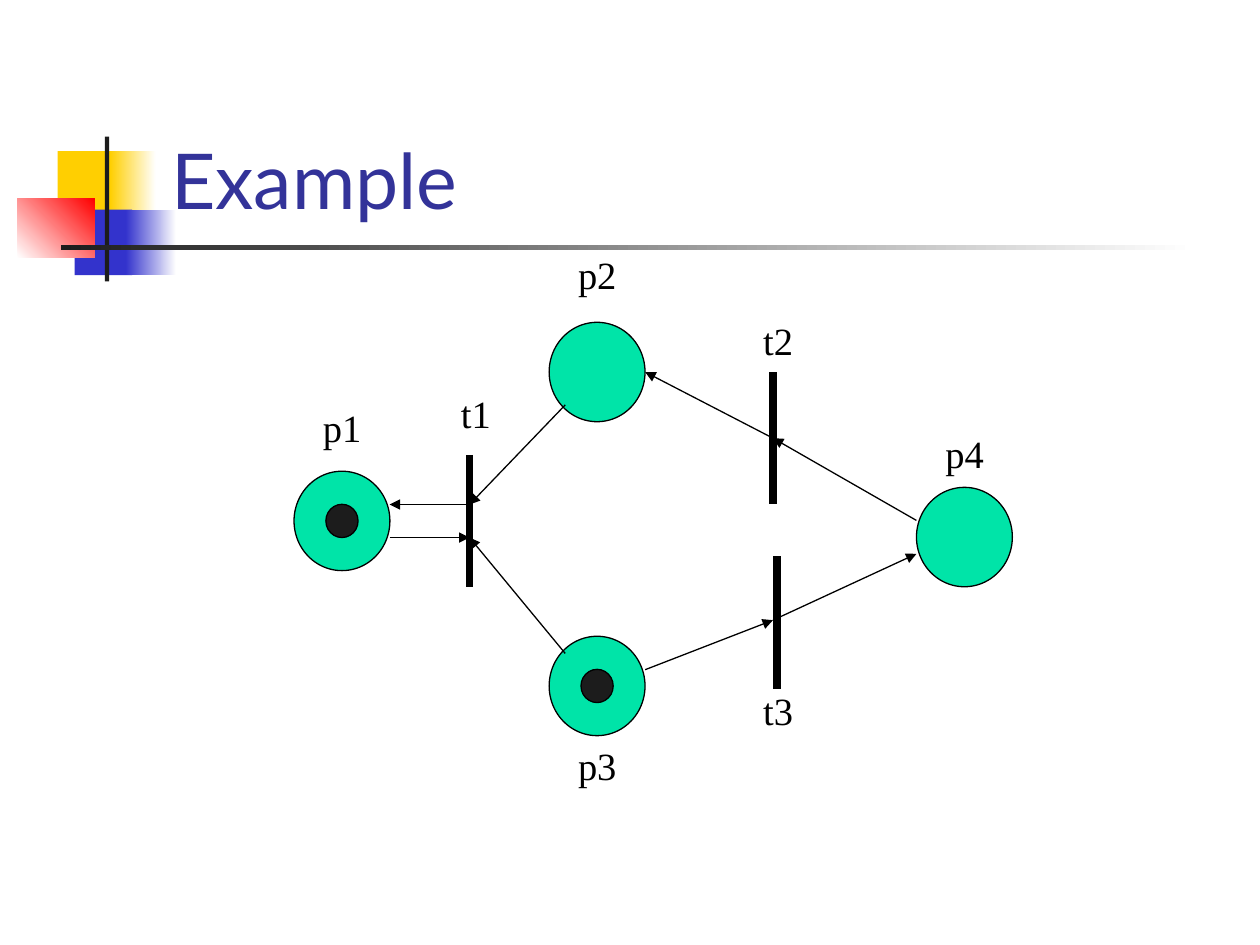
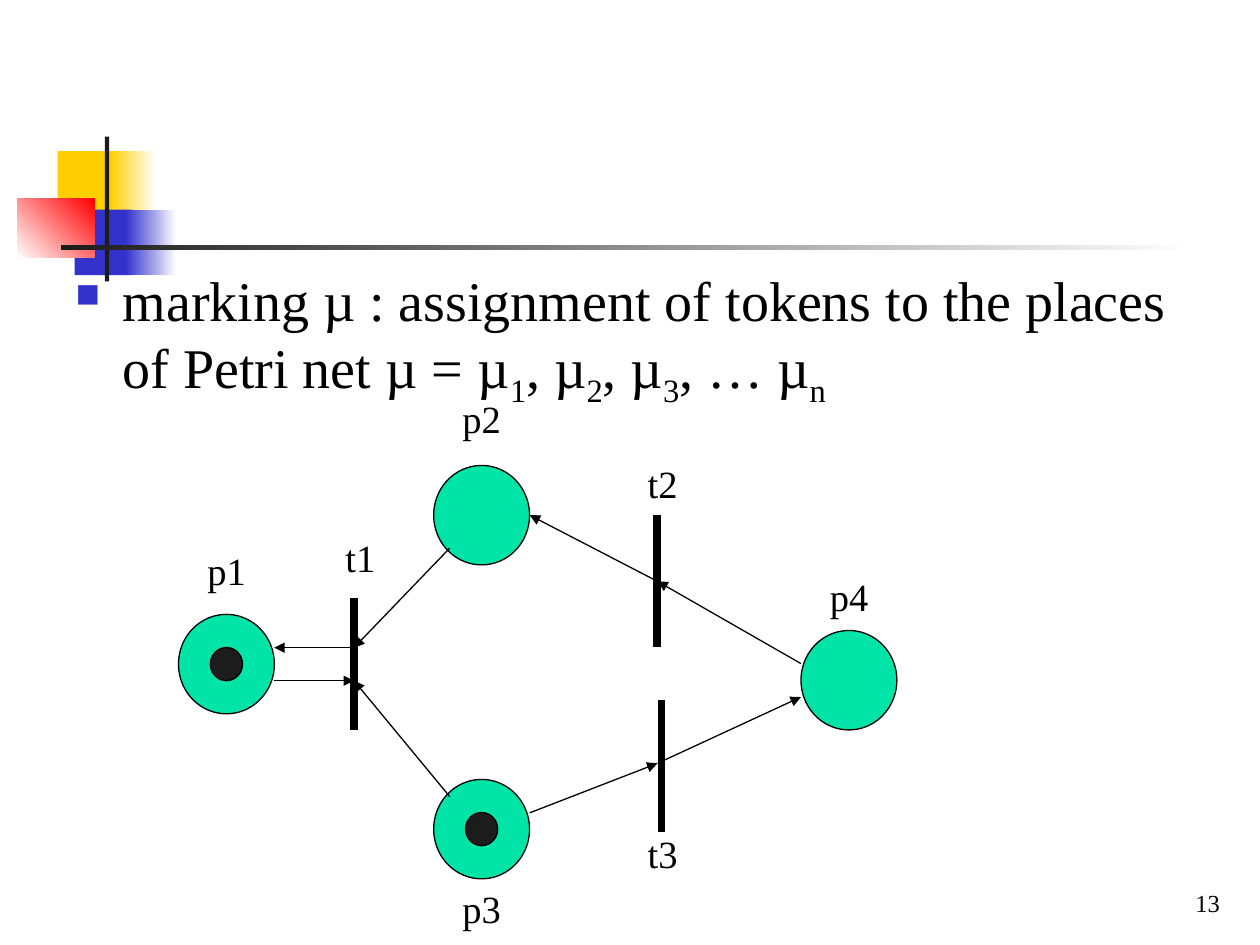
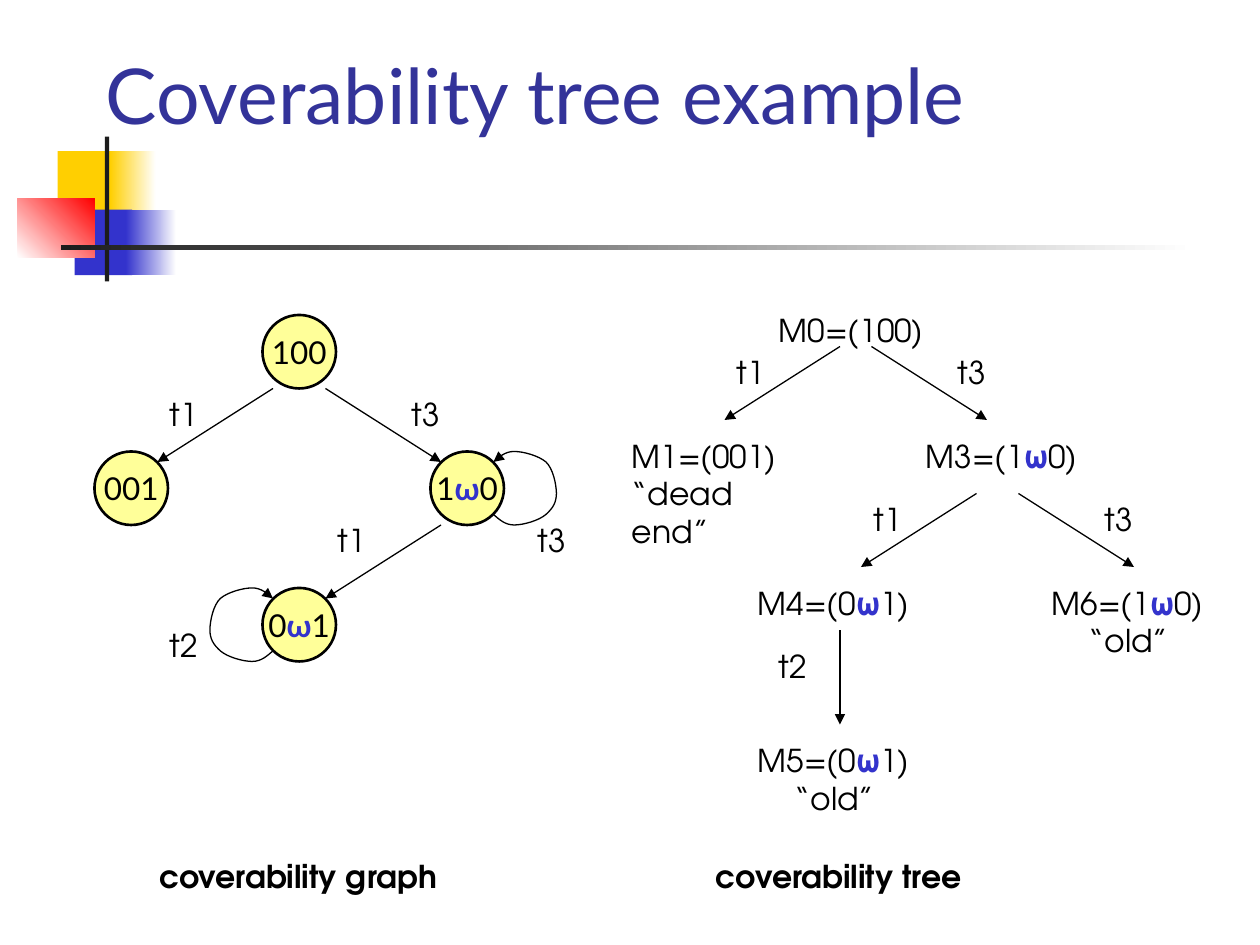
from dataclasses import dataclass
from typing import NamedTuple, Optional

from lxml import etree
from pptx import Presentation
from pptx.dml.color import RGBColor
from pptx.enum.shapes import MSO_CONNECTOR, MSO_SHAPE
from pptx.enum.text import MSO_ANCHOR, MSO_AUTO_SIZE, PP_ALIGN
from pptx.oxml.ns import qn
from pptx.util import Pt

RECTANGLE, OVAL = MSO_SHAPE.RECTANGLE, MSO_SHAPE.OVAL
STRAIGHT = MSO_CONNECTOR.STRAIGHT
TOP, MIDDLE, BOTTOM = MSO_ANCHOR.TOP, MSO_ANCHOR.MIDDLE, MSO_ANCHOR.BOTTOM
LEFT, CENTER, RIGHT = PP_ALIGN.LEFT, PP_ALIGN.CENTER, PP_ALIGN.RIGHT
FIT_SHAPE = MSO_AUTO_SIZE.SHAPE_TO_FIT_TEXT

BLACK, WHITE, INK = "000000", "FFFFFF", "1C1C1C"
YELLOW, BLUE, RED = "FFCF01", "3333CC", "FF0000"
TITLE_COLOR, PLACE_GREEN, STATE_YELLOW = "333399", "00E4A8", "FFFF99"
SERIF, SANS, GEOMETRIC = "Times New Roman", "Lato", "TeX Gyre Adventor"


class Box(NamedTuple):
    left: float
    top: float
    width: float
    height: float


class Style(NamedTuple):
    font: str
    size: float
    color: str = BLACK
    bold: bool = False


class Span(NamedTuple):
    text: str
    color: Optional[str] = None
    bold: bool = False
    subscript: bool = False


class Band(NamedTuple):
    box: Box
    start: str
    end: Optional[str] = None
    angle: float = 0


class Arrow(NamedTuple):
    x1: float
    y1: float
    x2: float
    y2: float


class Label(NamedTuple):
    text: str
    left: float
    top: float


@dataclass
class Place:
    name: str
    x: float
    y: float
    label_top: float
    token: bool = False


@dataclass
class Transition:
    name: str
    x: float
    top: float
    label_left: float
    label_top: float


TITLE_STYLE = Style(SANS, 44, TITLE_COLOR)
BODY_STYLE = Style(SERIF, 32)
NUMBER_STYLE = Style(SERIF, 14)
NET_STYLE = Style(SERIF, 22)
STATE_STYLE = Style(SANS, 18)
TREE_STYLE = Style(GEOMETRIC, 18)
CAPTION_STYLE = Style(GEOMETRIC, 18, bold=True)

# Corner blocks and rules behind every title
BANDS = [
    Band(Box(33, 86.4, 34.6, 37.4), YELLOW),
    Band(Box(63, 86.4, 26, 37.4), YELLOW, WHITE),
    Band(Box(42.6, 119.8, 33, 37.4), BLUE),
    Band(Box(72, 119.8, 28.8, 37.4), BLUE, WHITE),
    Band(Box(10, 113.7, 44.2, 33.6), WHITE, RED, 45),
    Band(Box(59.9, 78, 2.5, 82.8), INK),
    Band(Box(34.8, 140.2, 648, 2.5), INK, WHITE),
]

# Petri net
PLACE_WIDTH, PLACE_HEIGHT = 54.8, 56.8
TOKEN_WIDTH, TOKEN_HEIGHT = 18.4, 19
BAR_LENGTH = 75.6
PLACES = [
    Place("p1", 195.4, 297.7, 227.5, True),
    Place("p2", 341.2, 212.6, 140.2),
    Place("p3", 341.2, 392, 420.5, True),
    Place("p4", 551.1, 306.9, 242),
]
TRANSITIONS = [
    Transition("t1", 268.3, 260, 256.3, 219.6),
    Transition("t2", 441.7, 212.6, 429, 177.6),
    Transition("t3", 444, 318, 429, 388.8),
]
NET_ARROWS = [
    Arrow(268.3, 288.3, 222.7, 288.3),
    Arrow(222.7, 307.2, 268.3, 307.2),
    Arrow(323, 231.4, 268.3, 288.3),
    Arrow(323, 373.4, 268.3, 307.2),
    Arrow(368.7, 382.7, 441.7, 354.4),
    Arrow(441.7, 354.4, 523.7, 316.5),
    Arrow(523.7, 297.4, 441.7, 250.4),
    Arrow(441.7, 250.4, 368.7, 212.6),
]

# Coverability graph
STATE_SIZE = 42
STATES = [
    Label("100", 150, 180),
    Label("001", 54, 258),
    Label("1ω0", 246, 258),
    Label("0ω1", 150, 336),
]
GRAPH_ARROWS = [
    Arrow(156, 222, 90, 264),
    Arrow(186, 222, 252, 264),
    Arrow(252, 300, 186, 342),
]
GRAPH_LABELS = [
    Label("t1", 90, 222), Label("t3", 228, 222), Label("t1", 186, 294),
    Label("t3", 300, 294), Label("t2", 90, 354),
]
LOOP_START = (0, 36)
LOOP_CURVES = [
    ((3.6, 39), (6.5, 42), (12, 42)),
    ((17, 42), (26, 39.5), (30, 36)),
    ((34, 32.5), (36, 29), (36, 24)),
    ((36, 19), (34, 9.5), (30, 6)),
    ((26, 2.5), (17, 0), (12, 0)),
    ((6.5, 0), (3.6, 3), (0, 6)),
]
LOOP_STEPS = 8

# Coverability tree
TREE_ARROWS = [
    Arrow(480, 198, 414, 240),
    Arrow(498, 198, 564, 240),
    Arrow(558, 282, 492, 324),
    Arrow(582, 282, 648, 324),
    Arrow(480, 360, 480, 414),
]
TREE_LABELS = [
    Label("t1", 414, 198), Label("t3", 540, 198), Label("t1", 492, 282),
    Label("t3", 624, 282), Label("t2", 438, 366),
]
MARKINGS = [
    Label("M0=(100)", 438, 174),
    Label("M3=(1ω0)", 522, 246),
    Label("M4=(0ω1)", 426, 330),
]
OLD_MARKINGS = [Label("M6=(1ω0)", 594, 330), Label("M5=(0ω1)", 426, 420)]
OLD_INDENT = 21


def rgb(color: str) -> RGBColor:
    return RGBColor.from_string(color)


def place_at(box: Box) -> list:
    return [Pt(value) for value in box]


def highlight_omega(text: str) -> list:
    before, omega, after = text.partition("ω")
    spans = [Span(before), Span(omega, BLUE, True), Span(after)]
    return [span for span in spans if span.text]


def write_paragraph(paragraph, spans: list, style: Style, align=LEFT) -> None:
    paragraph.alignment = align
    for span in spans:
        run = paragraph.add_run()
        run.text = span.text
        run.font.name = style.font
        run.font.size = Pt(style.size)
        run.font.bold = style.bold or span.bold
        run.font.color.rgb = rgb(span.color or style.color)
        if span.subscript:
            run._r.get_or_add_rPr().set("baseline", "-25000")


def add_text(slide, box: Box, lines: list, style: Style, align=LEFT,
             anchor=TOP, wrap: bool = True):
    text_frame = slide.shapes.add_textbox(*place_at(box)).text_frame
    text_frame.word_wrap = wrap
    text_frame.vertical_anchor = anchor
    if not wrap:
        text_frame.auto_size = FIT_SHAPE
    for index, spans in enumerate(lines):
        paragraph = text_frame.add_paragraph() if index else text_frame.paragraphs[0]
        write_paragraph(paragraph, spans, style, align)
    return text_frame


def add_label(slide, box: Box, text: str, style: Style) -> None:
    add_text(slide, box, [highlight_omega(text)], style, wrap=False)


def add_figure(slide, kind, box: Box, fill: str, line_width: float = 0):
    shape = slide.shapes.add_shape(kind, *place_at(box))
    shape.shadow.inherit = False
    shape.fill.solid()
    shape.fill.fore_color.rgb = rgb(fill)
    if line_width:
        shape.line.color.rgb = rgb(BLACK)
        shape.line.width = Pt(line_width)
    else:
        shape.line.fill.background()
    return shape


def style_line(shape, width: float, arrow: bool) -> None:
    shape.line.color.rgb = rgb(BLACK)
    shape.line.width = Pt(width)
    properties = shape._element.spPr
    if arrow:
        etree.SubElement(properties.find(qn("a:ln")), qn("a:tailEnd"), type="triangle")
    if properties.find(qn("a:effectLst")) is None:
        etree.SubElement(properties, qn("a:effectLst"))


def add_line(slide, line: Arrow, width: float = 0.75, arrow: bool = True) -> None:
    connector = slide.shapes.add_connector(STRAIGHT, *[Pt(value) for value in line])
    style_line(connector, width, arrow)


def add_bands(slide) -> None:
    for band in BANDS:
        shape = add_figure(slide, RECTANGLE, band.box, band.start)
        if band.end:
            shape.fill.gradient()
            shape.fill.gradient_angle = band.angle
            for stop, color in zip(shape.fill.gradient_stops, (band.start, band.end)):
                stop.color.rgb = rgb(color)


def add_slide(presentation):
    slide = presentation.slides.add_slide(presentation.slide_layouts[6])
    add_bands(slide)
    return slide


def add_title(slide, box: Box, text: str) -> None:
    add_text(slide, box, [[Span(text)]], TITLE_STYLE, anchor=BOTTOM)


def centered(x: float, y: float, width: float, height: float) -> Box:
    return Box(x - width / 2, y - height / 2, width, height)


def add_petri_net(slide, dx: float = 0, dy: float = 0) -> None:
    for place in PLACES:
        x, y = place.x + dx, place.y + dy
        add_figure(slide, OVAL, centered(x, y, PLACE_WIDTH, PLACE_HEIGHT), PLACE_GREEN, 0.75)
        if place.token:
            add_figure(slide, OVAL, centered(x, y, TOKEN_WIDTH, TOKEN_HEIGHT), INK, 0.75)
        add_label(slide, Box(x - 18, place.label_top + dy, 36.7, 33.8), place.name, NET_STYLE)
    for transition in TRANSITIONS:
        x, top = transition.x + dx, transition.top + dy
        add_line(slide, Arrow(x, top, x, top + BAR_LENGTH), 4.5, arrow=False)
        label_box = Box(transition.label_left + dx, transition.label_top + dy, 31.7, 33.8)
        add_label(slide, label_box, transition.name, NET_STYLE)
    for arrow in NET_ARROWS:
        add_line(slide, Arrow(arrow.x1 + dx, arrow.y1 + dy, arrow.x2 + dx, arrow.y2 + dy))


def bezier(t: float, *controls: float) -> float:
    a, b, c, d = controls
    return (1 - t) ** 3 * a + 3 * (1 - t) ** 2 * t * b + 3 * (1 - t) * t ** 2 * c + t ** 3 * d


def add_loop(slide, x: float, top: float, side: int) -> None:
    """Draw a self-loop that bulges right (side 1) or left (side -1)."""
    points = [LOOP_START]
    for curve in LOOP_CURVES:
        xs, ys = zip(points[-1], *curve)
        for step in range(1, LOOP_STEPS + 1):
            points.append((bezier(step / LOOP_STEPS, *xs), bezier(step / LOOP_STEPS, *ys)))
    vertices = [(Pt(x + side * px), Pt(top + py)) for px, py in points]
    builder = slide.shapes.build_freeform(*vertices[0])
    builder.add_line_segments(vertices[1:], close=False)
    loop = builder.convert_to_shape()
    loop.shadow.inherit = False
    loop.fill.background()
    style_line(loop, 0.75, arrow=True)


def add_state(slide, state: Label) -> None:
    box = Box(state.left, state.top, STATE_SIZE, STATE_SIZE)
    text_frame = add_figure(slide, OVAL, box, STATE_YELLOW, 1.5).text_frame
    text_frame.word_wrap = False
    text_frame.vertical_anchor = MIDDLE
    write_paragraph(text_frame.paragraphs[0], highlight_omega(state.text), STATE_STYLE, CENTER)


def add_bullet(paragraph, indent: float) -> None:
    paragraph.space_before = Pt(6.4)
    properties = paragraph._p.get_or_add_pPr()
    properties.set("marL", str(Pt(indent)))
    properties.set("indent", str(-Pt(indent)))
    bullet_color = etree.SubElement(properties, qn("a:buClr"))
    etree.SubElement(bullet_color, qn("a:srgbClr"), val=BLUE)
    etree.SubElement(properties, qn("a:buSzPct"), val="60000")
    etree.SubElement(properties, qn("a:buChar"), char="■")


def build_example(presentation) -> None:
    slide = add_slide(presentation)
    add_title(slide, Box(90.7, 16.6, 613.4, 115.2), "Example")
    add_petri_net(slide)


def build_marking(presentation) -> None:
    slide = add_slide(presentation)
    spans = [Span("marking µ : assignment of tokens to the places of Petri net µ = µ")]
    for index, separator in (("1", ", µ"), ("2", ", µ"), ("3", ", … µ"), ("n", "")):
        spans.append(Span(index, subscript=True))
        if separator:
            spans.append(Span(separator))
    body = add_text(slide, Box(36, 148.3, 648, 306), [spans], BODY_STYLE)
    add_bullet(body.paragraphs[0], 27)
    add_text(slide, Box(554.4, 491.8, 149.8, 36), [[Span("13")]], NUMBER_STYLE, RIGHT, BOTTOM)
    add_petri_net(slide, -66, 81.8)


def build_coverability(presentation) -> None:
    slide = add_slide(presentation)
    add_title(slide, Box(53.3, 23.8, 643, 59.8), "Coverability tree example")

    # Arrows and their labels
    for arrow in GRAPH_ARROWS + TREE_ARROWS:
        add_line(slide, arrow)
    for label in GRAPH_LABELS + TREE_LABELS:
        add_label(slide, Box(label.left, label.top, 33, 29), label.text, TREE_STYLE)

    # Graph states
    for state in STATES:
        add_state(slide, state)
    add_loop(slide, 282, 258, 1)
    add_loop(slide, 156, 336, -1)

    # Tree markings
    for marking in MARKINGS:
        add_label(slide, Box(marking.left, marking.top, 107, 29), marking.text, TREE_STYLE)
    add_text(slide, Box(354, 246, 114.5, 50.4),
             [[Span("M1=(001)")], [Span("“dead end”")]], TREE_STYLE)
    for marking in OLD_MARKINGS:
        lines = [highlight_omega(marking.text), [Span("“old”")]]
        text_frame = add_text(slide, Box(marking.left, marking.top, 107, 50.4), lines,
                              TREE_STYLE, wrap=False)
        text_frame.paragraphs[1]._p.get_or_add_pPr().set("marL", str(Pt(OLD_INDENT)))

    # Captions
    add_label(slide, Box(84, 486, 219, 31), "coverability graph", CAPTION_STYLE)
    add_label(slide, Box(402, 486, 199, 31), "coverability tree", CAPTION_STYLE)


def main() -> None:
    presentation = Presentation()
    presentation.slide_width, presentation.slide_height = Pt(720), Pt(540)
    build_example(presentation)
    build_marking(presentation)
    build_coverability(presentation)
    presentation.save("out.pptx")


if __name__ == "__main__":
    main()
